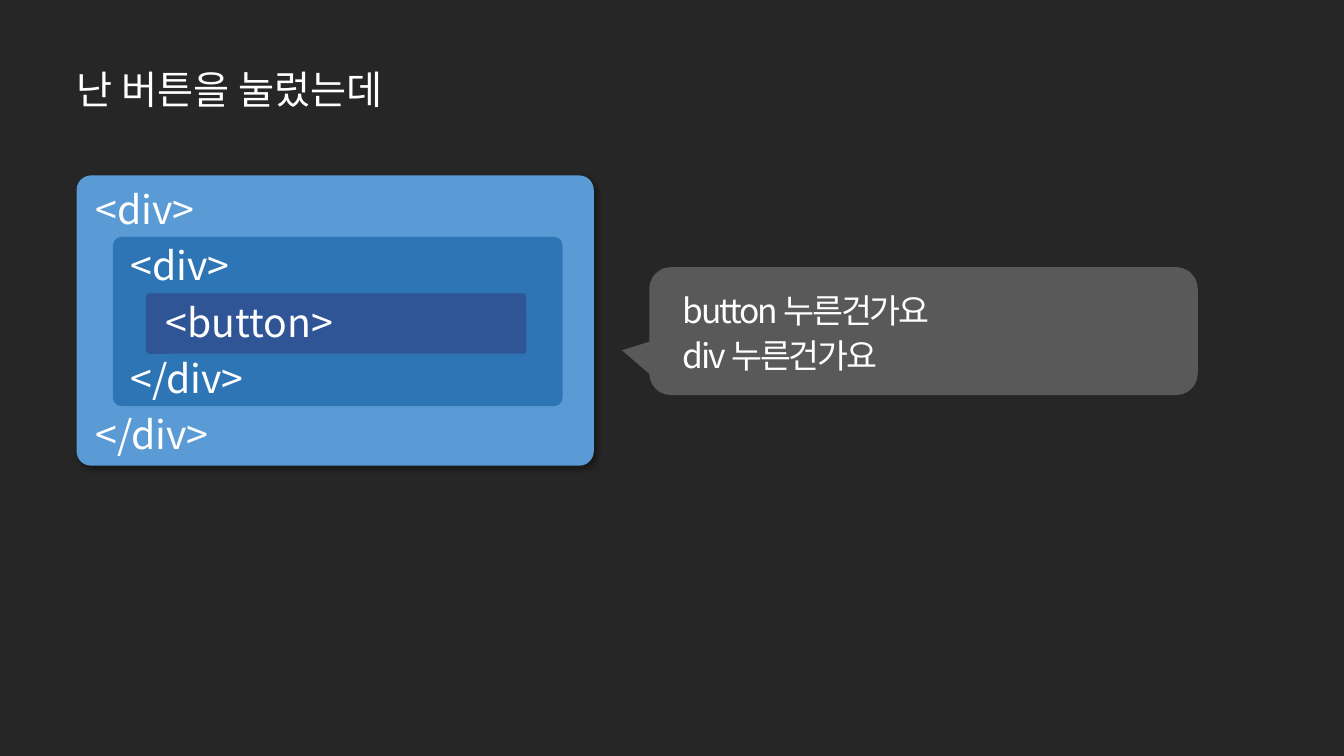
from lxml import etree
from pptx import Presentation
from pptx.dml.color import RGBColor
from pptx.enum.shapes import MSO_SHAPE as Preset
from pptx.enum.text import MSO_ANCHOR as Anchor, MSO_AUTO_SIZE as AutoSize
from pptx.oxml import parse_xml
from pptx.oxml.ns import nsdecls, qn
from pptx.util import Inches, Pt

BACKGROUND = RGBColor(0x26, 0x26, 0x26)
WHITE = RGBColor(0xFF, 0xFF, 0xFF)
OUTER_BLUE = RGBColor(0x5B, 0x9B, 0xD5)
MIDDLE_BLUE = RGBColor(0x2E, 0x75, 0xB6)
INNER_BLUE = RGBColor(0x2F, 0x55, 0x97)
BUBBLE_GRAY = RGBColor(0x59, 0x59, 0x59)
FONT = "Noto Sans CJK KR"

CODE_LINES = [
    "<div>",
    "    <div>",
    "        <button>",
    "    </div>",
    "</div>",
]
NESTED_BOXES = [
    ((0.76, 1.74, 5.13, 2.88), OUTER_BLUE),
    ((1.12, 2.35, 4.46, 1.68), MIDDLE_BLUE),
    ((1.45, 2.91, 3.77, 0.6), INNER_BLUE),
]


def add_filled_shape(slide, preset, box, color, adjustments):
    shape = slide.shapes.add_shape(preset, *map(Inches, box))
    shape.shadow.inherit = False
    shape.fill.solid()
    shape.fill.fore_color.rgb = color
    shape.line.fill.background()
    for index, value in enumerate(adjustments):
        shape.adjustments[index] = value
    return shape


def add_drop_shadow(shape):
    """Fill the shape's empty effect list with a soft shadow to the lower right."""
    effects = shape.element.spPr.find(qn("a:effectLst"))
    effects.append(parse_xml(
        f'<a:outerShdw {nsdecls("a")} blurRad="{Pt(4)}" dist="{Pt(3)}" '
        'dir="2700000" algn="tl" rotWithShape="0">'
        '<a:srgbClr val="000000"><a:alpha val="40000"/></a:srgbClr></a:outerShdw>'
    ))


def add_text(slide, box, lines, size=28, line_spacing=0.9, space_before=0,
             tracking=None, anchor=Anchor.TOP, auto_size=AutoSize.SHAPE_TO_FIT_TEXT):
    frame = slide.shapes.add_textbox(*map(Inches, box)).text_frame
    frame.word_wrap = True
    frame.auto_size = auto_size
    frame.vertical_anchor = anchor
    for index, line in enumerate(lines):
        paragraph = frame.paragraphs[0] if index == 0 else frame.add_paragraph()
        paragraph.line_spacing = line_spacing
        paragraph.space_before = Pt(space_before if index else 0)
        run = paragraph.add_run()
        run.text = line
        run.font.size = Pt(size)
        run.font.name = FONT
        run.font.color.rgb = WHITE
        properties = run.font._element
        etree.SubElement(properties, qn("a:ea")).set("typeface", FONT)
        if tracking is not None:
            properties.set("spc", str(int(tracking * 100)))


def main():
    presentation = Presentation()
    presentation.slide_width = Inches(13.33)
    presentation.slide_height = Inches(7.5)
    slide = presentation.slides.add_slide(presentation.slide_layouts[6])
    slide.background.fill.solid()
    slide.background.fill.fore_color.rgb = BACKGROUND

    add_text(slide, (0.66, 0.34, 9.94, 1.14), ["난 버튼을 눌렀는데"],
             anchor=Anchor.MIDDLE, auto_size=AutoSize.NONE)

    outer, *_ = [
        add_filled_shape(slide, Preset.ROUNDED_RECTANGLE, box, color, [0.05])
        for box, color in NESTED_BOXES
    ]
    add_drop_shadow(outer)
    add_text(slide, (0.85, 1.84, 4.64, 2.78), CODE_LINES, space_before=10)

    add_filled_shape(slide, Preset.ROUNDED_RECTANGULAR_CALLOUT,
                     (6.44, 2.65, 5.44, 1.27), BUBBLE_GRAY, [-0.55, 0.15, 0.17])
    add_text(slide, (6.67, 2.79, 4.81, 0.99),
             ["button 누른건가요", "div 누른건가요"],
             size=24, line_spacing=1.1, tracking=-1.5)

    presentation.save("out.pptx")


if __name__ == "__main__":
    main()
